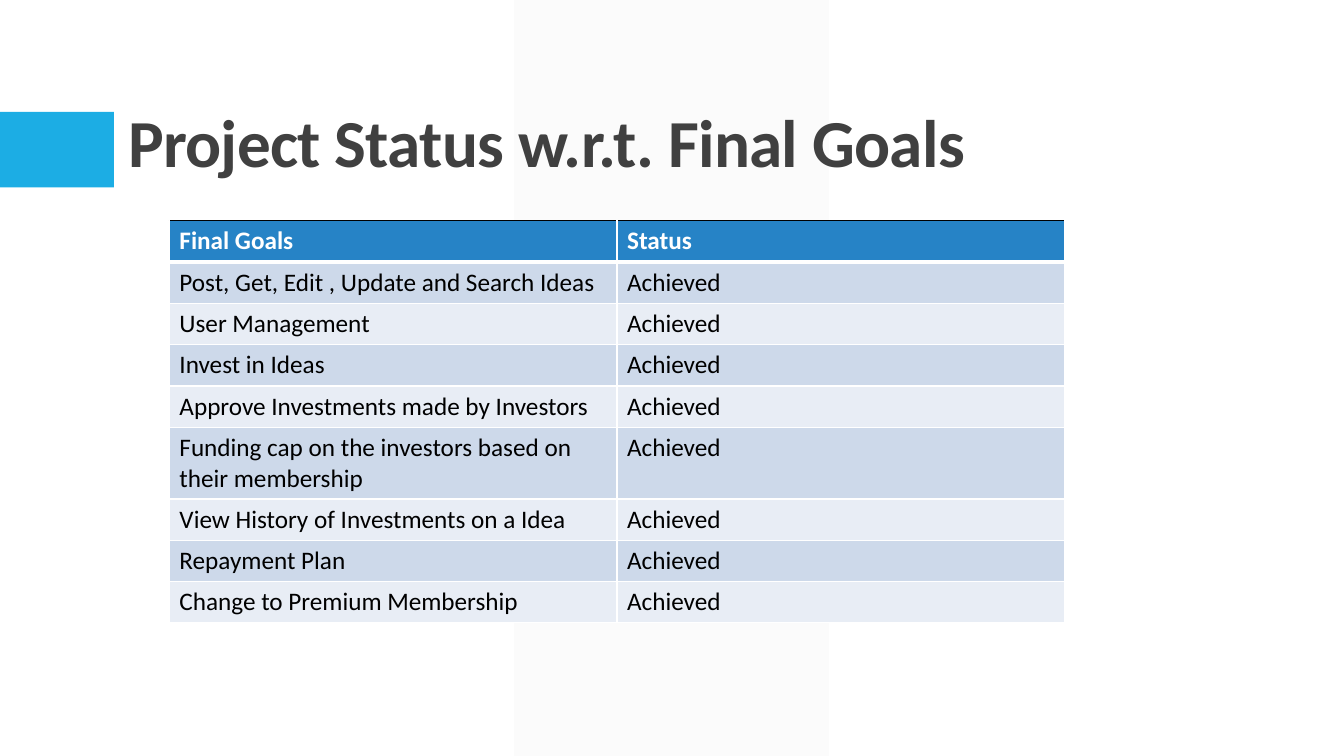
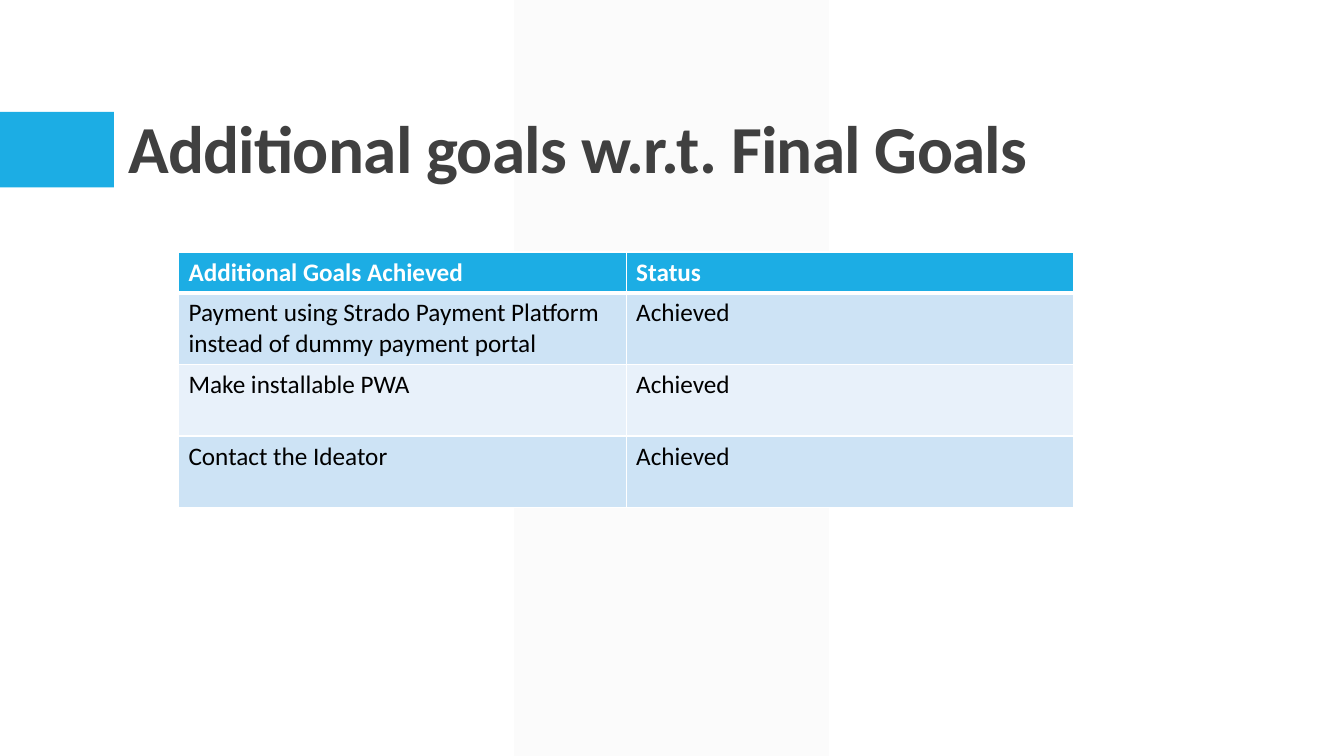
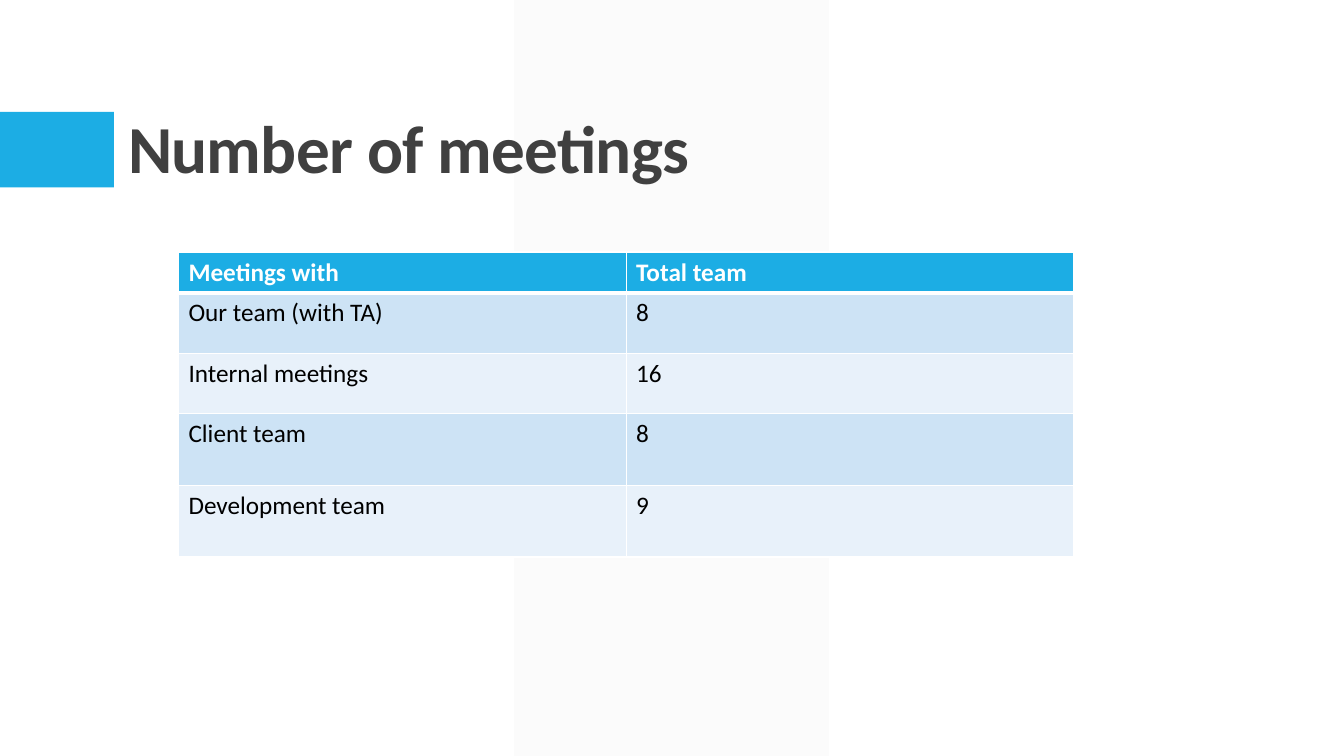
from typing import NamedTuple

from lxml import etree
from pptx import Presentation
from pptx.dml.color import RGBColor
from pptx.enum.shapes import MSO_SHAPE
from pptx.enum.text import MSO_ANCHOR, MSO_AUTO_SIZE, PP_ALIGN
from pptx.oxml.ns import qn
from pptx.util import Inches, Pt

RECT = MSO_SHAPE.RECTANGLE
SLANT = MSO_SHAPE.PARALLELOGRAM
LOW = MSO_ANCHOR.BOTTOM
LEFT = PP_ALIGN.LEFT
NO_FIT = MSO_AUTO_SIZE.NONE

FONT = "Calibri"
WHITE = RGBColor(0xFF, 0xFF, 0xFF)
BLACK = RGBColor(0x00, 0x00, 0x00)
GRAY = RGBColor(0x40, 0x40, 0x40)
PALE = RGBColor(0xF2, 0xF2, 0xF2)
CYAN = RGBColor(0x1C, 0xAD, 0xE4)
BLUE = RGBColor(0x26, 0x83, 0xC6)
SLATE = RGBColor(0xCD, 0xD9, 0xEA)
MIST = RGBColor(0xE8, 0xED, 0xF5)
SKY = RGBColor(0xCD, 0xE3, 0xF5)
ICE = RGBColor(0xE8, 0xF1, 0xFA)

COL_WIDTH = 4.44


class Theme(NamedTuple):
    head: RGBColor
    odd: RGBColor
    even: RGBColor
    edge: RGBColor


class Row(NamedTuple):
    label: str
    value: str
    height: float


class Page(NamedTuple):
    title: str
    title_top: float
    left: float
    top: float
    theme: Theme
    rows: list[Row]


DEEP = Theme(BLUE, SLATE, MIST, BLACK)
LIGHT = Theme(CYAN, SKY, ICE, WHITE)
DONE = "Achieved"

PAGES = [
    Page("Project Status w.r.t. Final Goals", 0.27, 1.68, 2.19, DEEP, [
        Row("Final Goals", "Status", 0.41),
        Row("Post, Get, Edit , Update and Search Ideas", DONE, 0.41),
        Row("User Management", DONE, 0.41),
        Row("Invest in Ideas", DONE, 0.41),
        Row("Approve Investments made by Investors", DONE, 0.41),
        Row("Funding cap on the investors based on their membership", DONE, 0.71),
        Row("View History of Investments on a Idea", DONE, 0.41),
        Row("Repayment Plan", DONE, 0.41),
        Row("Change to Premium Membership", DONE, 0.41),
    ]),
    Page("Additional goals w.r.t. Final Goals", 0.33, 1.77, 2.5, LIGHT, [
        Row("Additional Goals Achieved", "Status", 0.4),
        Row("Payment using Strado Payment Platform instead of dummy payment portal",
            DONE, 0.71),
        Row("Make installable PWA", DONE, 0.71),
        Row("Contact the Ideator", DONE, 0.71),
    ]),
    Page("Number of meetings", 0.33, 1.77, 2.5, LIGHT, [
        Row("Meetings with", "Total team", 0.4),
        Row("Our team (with TA)", "8", 0.6),
        Row("Internal meetings", "16", 0.6),
        Row("Client team", "8", 0.71),
        Row("Development team", "9", 0.71),
    ]),
]


def write(frame, text: str, *, size: float, color: RGBColor, bold: bool = False,
          line: float = 1.0, track: int = 0) -> None:
    para = frame.paragraphs[0]
    para.alignment = LEFT
    para.line_spacing = line
    run = para.add_run()
    run.text = text
    font = run.font
    font.name = FONT
    font.size = Pt(size)
    font.bold = bold
    font.color.rgb = color
    if track:
        run._r.get_or_add_rPr().set("spc", str(track))


def add_block(slide, kind, box: tuple, color: RGBColor):
    block = slide.shapes.add_shape(kind, *map(Inches, box))
    block.shadow.inherit = False
    block.fill.solid()
    block.fill.fore_color.rgb = color
    block.line.fill.background()
    return block


def add_decor(slide, layout) -> None:
    band = add_block(slide, SLANT, (5.1, 0, 3.12, 7.5), PALE)
    band.adjustments[0] = 0
    tint = next(band.element.spPr.iter(qn("a:srgbClr")))
    etree.SubElement(tint, qn("a:alpha"), val="30000")
    tab = add_block(slide, RECT, (0, 1.11, 1.13, 0.75), CYAN)
    for spot, block in enumerate((band, tab), start=2):
        layout.shapes.element.insert(spot, block.element)


def add_edge(cell, side: str, color: RGBColor, width: float) -> None:
    props = cell._tc.get_or_add_tcPr()
    edge = etree.SubElement(props, qn(f"a:ln{side}"), w=str(Pt(width)))
    fill = etree.SubElement(edge, qn("a:solidFill"))
    etree.SubElement(fill, qn("a:srgbClr"), val=str(color))


def add_grid(slide, page: Page) -> None:
    rows, theme = page.rows, page.theme
    height = sum(row.height for row in rows)
    table = slide.shapes.add_table(
        len(rows), 2, Inches(page.left), Inches(page.top),
        Inches(2 * COL_WIDTH), Inches(height)).table
    for col in table.columns:
        col.width = Inches(COL_WIDTH)
    for i, row in enumerate(rows):
        table.rows[i].height = Inches(row.height)
        head = i == 0
        fill = theme.head if head else theme.odd if i % 2 else theme.even
        for j, text in enumerate((row.label, row.value)):
            cell = table.cell(i, j)
            add_edge(cell, "L", WHITE, 1)
            add_edge(cell, "R", WHITE, 1)
            add_edge(cell, "T", theme.edge if head else WHITE, 3 if i == 1 else 1)
            add_edge(cell, "B", WHITE, 3 if head else 1)
            cell.fill.solid()
            cell.fill.fore_color.rgb = fill
            write(cell.text_frame, text, size=18, bold=head,
                  color=WHITE if head else BLACK)


def add_title(slide, page: Page) -> None:
    title = slide.shapes.title
    title.left, title.top = Inches(1.17), Inches(page.title_top)
    title.width, title.height = Inches(11), Inches(1.59)
    frame = title.text_frame
    frame.auto_size = NO_FIT
    frame.word_wrap = True
    frame.vertical_anchor = LOW
    write(frame, page.title, size=48, color=GRAY, bold=True, line=0.9, track=-50)


def main() -> None:
    deck = Presentation()
    deck.slide_width, deck.slide_height = Inches(13.33), Inches(7.5)
    layout = deck.slide_layouts[5]
    for i, page in enumerate(PAGES):
        slide = deck.slides.add_slide(layout)
        if i == 0:
            add_decor(slide, layout)
        add_title(slide, page)
        add_grid(slide, page)
    deck.save("out.pptx")


if __name__ == "__main__":
    main()
